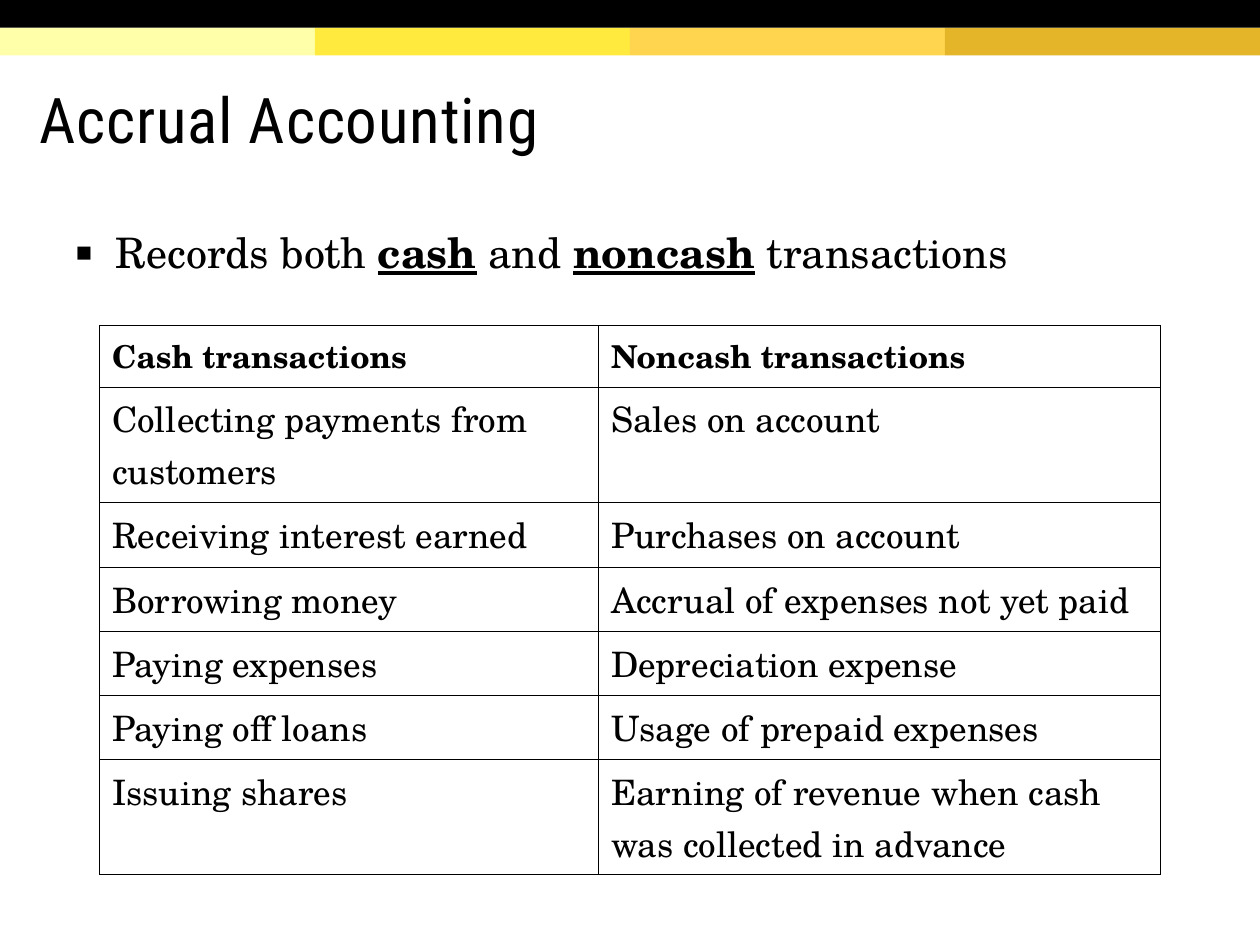
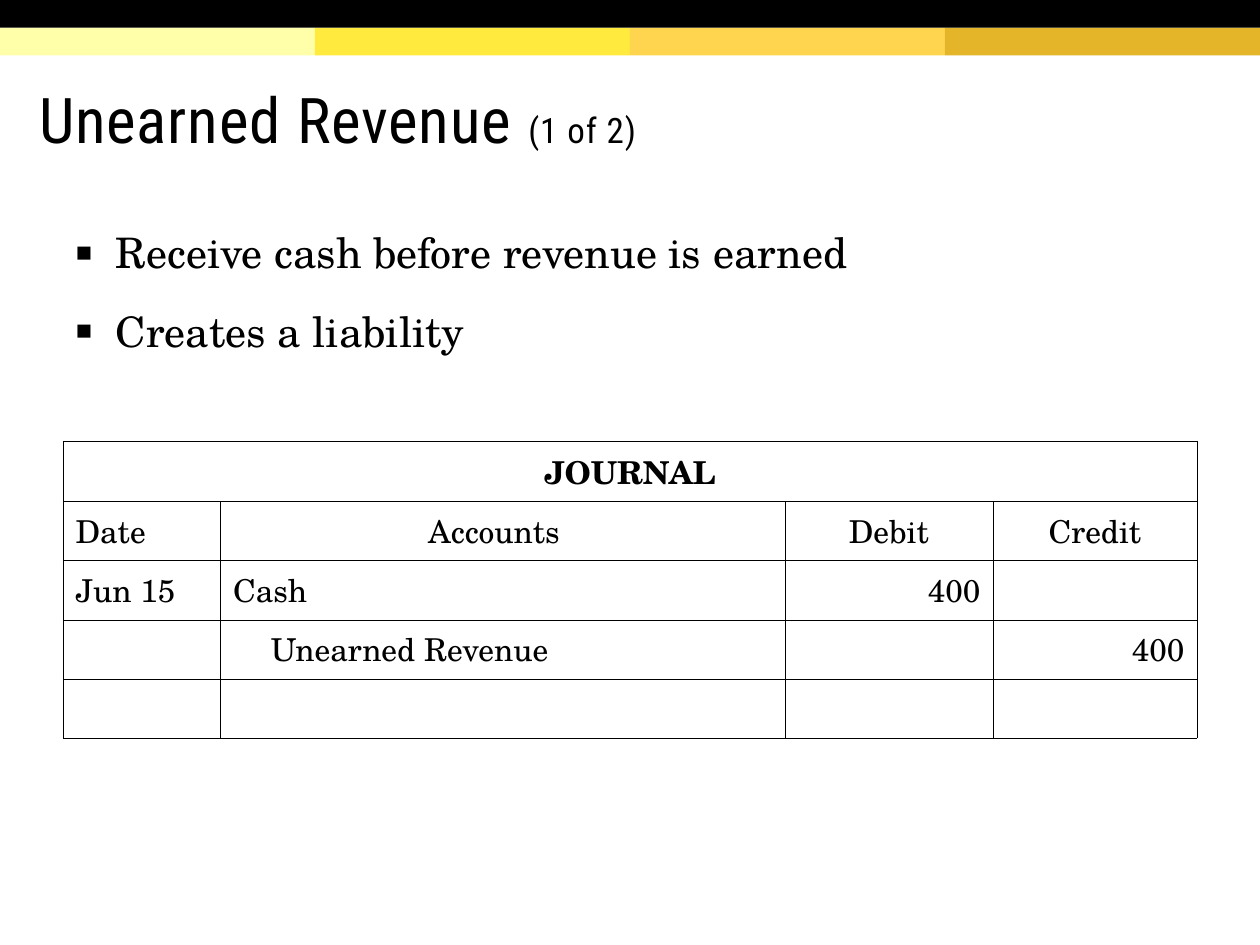
from lxml import etree
from pptx import Presentation
from pptx.dml.color import RGBColor
from pptx.enum.shapes import MSO_SHAPE
from pptx.enum.text import MSO_ANCHOR, PP_ALIGN
from pptx.oxml.ns import qn
from pptx.util import Inches, Pt

BLACK = RGBColor(0x00, 0x00, 0x00)
BAND_COLORS = (
    RGBColor(0xFF, 0xFF, 0xAA),
    RGBColor(0xFF, 0xEA, 0x3D),
    RGBColor(0xFF, 0xD5, 0x4F),
    RGBColor(0xE4, 0xB4, 0x29),
)
TITLE_FONT = "Roboto Condensed"
BODY_FONT = "TeX Gyre Schola"
RECTANGLE = MSO_SHAPE.RECTANGLE
MIDDLE = MSO_ANCHOR.MIDDLE
LEFT, CENTER, RIGHT = PP_ALIGN.LEFT, PP_ALIGN.CENTER, PP_ALIGN.RIGHT
TITLE_ONLY = 5
BAND_HEIGHT = 0.22


class Deck:
    """Holds the shared style and the slide being built."""

    def __init__(self):
        self.presentation = Presentation()
        self.presentation.slide_width = Inches(10)
        self.presentation.slide_height = Inches(7.5)
        self.slide = None

    def start_slide(self, title, counter=""):
        layout = self.presentation.slide_layouts[TITLE_ONLY]
        self.slide = self.presentation.slides.add_slide(layout)
        for index, color in enumerate(BAND_COLORS):
            self.band(2.5 * index, BAND_HEIGHT, 2.5, color)
        self.band(0, 0, 10, BLACK)
        self.title(title, counter)

    def band(self, left, top, width, color):
        band = self.slide.shapes.add_shape(
            RECTANGLE, Inches(left), Inches(top), Inches(width), Inches(BAND_HEIGHT))
        band.shadow.inherit = False
        band.fill.solid()
        band.fill.fore_color.rgb = color
        band.line.fill.background()

    def style(self, run, size, bold=False, name=BODY_FONT):
        run.font.name = name
        run.font.size = Pt(size)
        run.font.bold = bold
        run.font.color.rgb = BLACK

    def title(self, text, counter):
        title = self.slide.shapes.title
        title.left, title.top = Inches(0.21), Inches(0.47)
        title.width, title.height = Inches(9.49), Inches(0.98)
        frame = title.text_frame
        frame.vertical_anchor = MIDDLE
        frame.margin_left = frame.margin_right = frame.margin_top = Inches(0.1)
        frame.margin_bottom = Inches(0.05)
        heading = frame.paragraphs[0]
        heading.alignment = LEFT
        heading.line_spacing = 0.85
        for part, size in ((text, 36), (counter, 20)):
            if part:
                run = heading.add_run()
                run.text = part
                self.style(run, size, name=TITLE_FONT)
                run.font._element.set("spc", "50")

    def bullets(self, height, points):
        box = self.slide.shapes.add_textbox(
            Inches(0.5), Inches(1.75), Inches(9), Inches(height))
        frame = box.text_frame
        frame.word_wrap = True
        for index, parts in enumerate(points):
            point = frame.add_paragraph() if index else frame.paragraphs[0]
            self.add_bullet(point)
            point.line_spacing = 1.0
            point.space_before = Pt(8 if index else 0)
            point.space_after = Pt(8)
            for text, stressed in parts:
                run = point.add_run()
                run.text = text
                self.style(run, 24, stressed)
                run.font.underline = stressed

    def add_bullet(self, paragraph):
        properties = paragraph._p.get_or_add_pPr()
        properties.set("marL", str(Inches(0.32)))
        properties.set("indent", str(-Inches(0.32)))
        color = etree.SubElement(properties, qn("a:buClr"))
        etree.SubElement(color, qn("a:srgbClr"), val=str(BLACK))
        etree.SubElement(properties, qn("a:buSzPct"), val="85000")
        etree.SubElement(properties, qn("a:buFont"), typeface=BODY_FONT)
        etree.SubElement(properties, qn("a:buChar"), char="▪")

    def table(self, left, top, widths, heights, rows, sizes):
        table = self.slide.shapes.add_table(
            len(rows), len(widths), Inches(left), Inches(top),
            Inches(sum(widths)), Inches(sum(heights))).table
        table.first_row = table.horz_banding = False
        for column, width in zip(table.columns, widths):
            column.width = Inches(width)
        for row, height in zip(table.rows, heights):
            row.height = Inches(height)
        for r, (texts, size) in enumerate(zip(rows, sizes)):
            for c, text in enumerate(texts):
                self.fill_cell(table.cell(r, c), text, size, bold=r == 0)
        return table

    def fill_cell(self, cell, text, size, bold):
        self.add_borders(cell)
        cell.fill.background()
        paragraph = cell.text_frame.paragraphs[0]
        if text:
            paragraph.text = text
            self.style(paragraph.runs[0], size, bold)
        else:
            end = etree.SubElement(paragraph._p, qn("a:endParaRPr"), sz=str(size * 100))
            etree.SubElement(end, qn("a:latin"), typeface=BODY_FONT)

    def add_borders(self, cell):
        properties = cell._tc.get_or_add_tcPr()
        for side in ("a:lnL", "a:lnR", "a:lnT", "a:lnB"):
            line = etree.SubElement(properties, qn(side), w=str(Pt(0.25)))
            fill = etree.SubElement(line, qn("a:solidFill"))
            etree.SubElement(fill, qn("a:srgbClr"), val=str(BLACK))

    def align(self, table, alignment, *positions):
        for row, column in positions:
            table.cell(row, column).text_frame.paragraphs[0].alignment = alignment


def accrual_accounting(deck):
    """Builds the comparison of cash and noncash transactions."""
    deck.start_slide("Accrual Accounting")
    deck.bullets(0.5, [[
        ("Records both ", False), ("cash", True), (" and ", False),
        ("noncash", True), (" transactions", False)]])
    transactions = [
        ("Cash transactions", "Noncash transactions"),
        ("Collecting payments from customers", "Sales on account"),
        ("Receiving interest earned", "Purchases on account"),
        ("Borrowing money", "Accrual of expenses not yet paid"),
        ("Paying expenses", "Depreciation expense"),
        ("Paying off loans", "Usage of prepaid expenses"),
        ("Issuing shares", "Earning of revenue when cash was collected in advance"),
    ]
    heights = [0.49, 0.92] + [0.51] * 4 + [0.91]
    deck.table(0.79, 2.58, (3.96, 4.46), heights, transactions, [18] + [20] * 6)


def unearned_revenue(deck):
    """Builds the journal entry for cash received in advance."""
    deck.start_slide("Unearned Revenue ", "(1 of 2)")
    deck.bullets(1.25, [
        [("Receive cash before revenue is earned", False)],
        [("Creates a liability", False)]])
    entries = [
        ("JOURNAL", "", "", ""),
        ("Date", "Accounts", "Debit", "Credit"),
        ("Jun 15", "Cash", "400", ""),
        ("", "Unearned Revenue", "", "400"),
        ("", "", "", ""),
    ]
    heights = [0.48] + [0.47] * 4
    journal = deck.table(
        0.5, 3.5, (1.25, 4.48, 1.65, 1.62), heights, entries, [18] * 5)
    journal.cell(0, 0).merge(journal.cell(0, 3))
    deck.align(journal, CENTER, (0, 0), (1, 1), (1, 2), (1, 3))
    deck.align(journal, RIGHT, (2, 2), (3, 3))
    journal.cell(1, 1).margin_right = Inches(0.24)
    credited_account = journal.cell(3, 1).text_frame.paragraphs[0]
    credited_account._p.get_or_add_pPr().set("marL", str(Inches(0.3)))


def main():
    """Builds and saves the presentation."""
    deck = Deck()
    accrual_accounting(deck)
    unearned_revenue(deck)
    deck.presentation.save("out.pptx")


if __name__ == "__main__":
    main()
